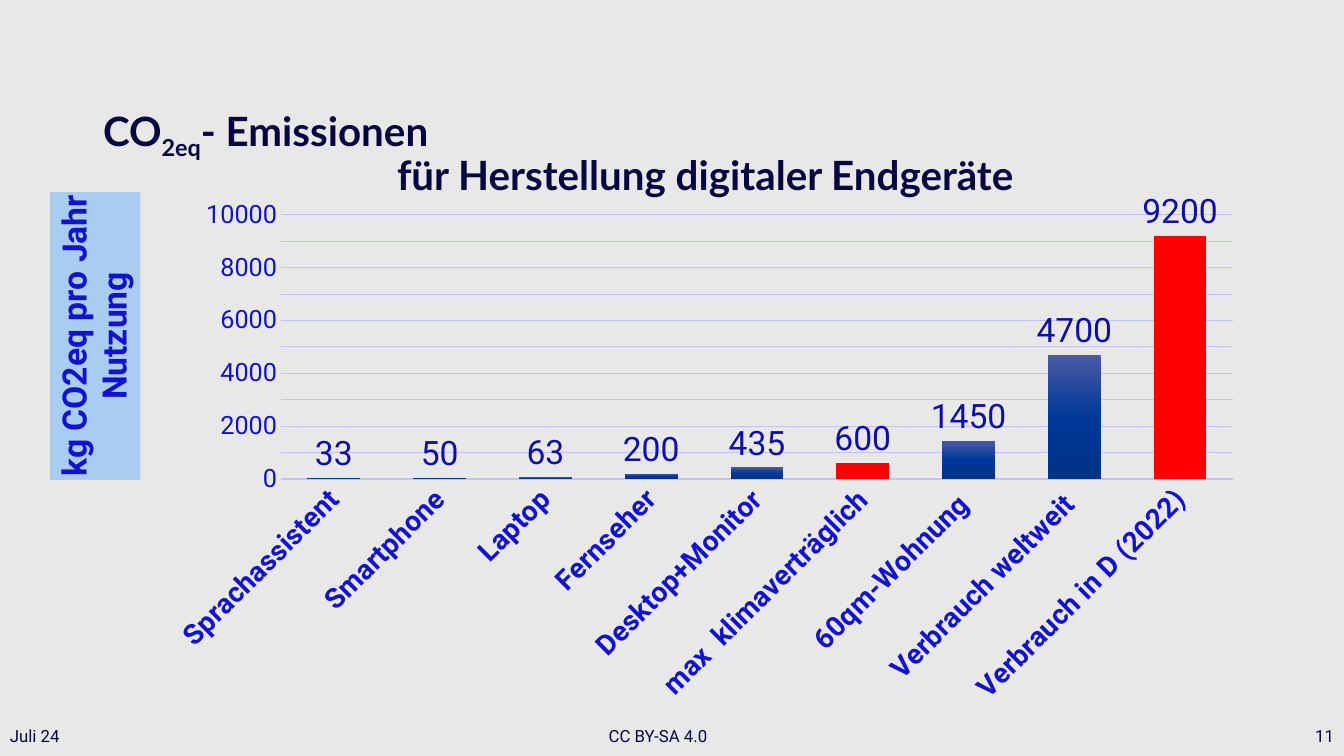
from copy import deepcopy
from dataclasses import dataclass

from lxml import etree
from pptx import Presentation
from pptx.chart.data import CategoryChartData
from pptx.dml.color import RGBColor
from pptx.enum.chart import XL_CHART_TYPE as CHART, XL_LABEL_POSITION as LABEL, XL_TICK_MARK as TICK
from pptx.enum.text import MSO_ANCHOR as ANCHOR, MSO_AUTO_SIZE as AUTOSIZE, PP_ALIGN as ALIGN
from pptx.oxml import parse_xml
from pptx.oxml.ns import nsdecls, qn
from pptx.util import Pt

EMU_PER_PX = 914400 / 100.8

EMISSIONS = {
    "Sprachassistent": 33,
    "Smartphone": 50,
    "Laptop": 63,
    "Fernseher": 200,
    "Desktop+Monitor": 435,
    "max  klimaverträglich": 600,
    "60qm-Wohnung ": 1450,
    "Verbrauch weltweit ": 4700,
    "Verbrauch in D (2022)": 9200,
}
HIGHLIGHTED = ("max  klimaverträglich", "Verbrauch in D (2022)")


@dataclass(frozen=True)
class Theme:
    heading: str = "Lato"
    body: str = "Roboto"
    paper: str = "E8E8E8"
    ink: str = "060640"
    axis: str = "1313CD"
    label: str = "0F0FA5"
    grid: str = "C3C3F9"
    panel: str = "A9CDF0"
    alert: str = "FF0000"
    bar: tuple = ((0, "4B5AA3"), (50, "003898"), (100, "003287"))
    title_pt: float = 28.8
    label_pt: int = 24
    category_pt: int = 20
    value_pt: int = 18
    footer_pt: int = 12


def px(n):
    return round(n * EMU_PER_PX)


def rgb(value):
    return RGBColor.from_string(value)


def style(font, color, **values):
    for name, value in values.items():
        setattr(font, name, value)
    font.color.rgb = rgb(color)


def paint(fill, color):
    fill.solid()
    fill.fore_color.rgb = rgb(color)


def place(parent, index, frame, box, inner=False):
    """Fix a chart part at box (slide px) inside the chart frame."""
    for old in parent.findall(qn("c:layout")):
        parent.remove(old)
    layout = etree.Element(qn("c:layout"))
    manual = etree.SubElement(layout, qn("c:manualLayout"))
    left, top, width, height = frame
    x, y, w, h = box
    values = {"xMode": "edge", "yMode": "edge",
              "x": round((x - left) / width, 4), "y": round((y - top) / height, 4)}
    if inner:
        values = {"layoutTarget": "inner", **values,
                  "w": round(w / width, 4), "h": round(h / height, 4)}
    for name, value in values.items():
        etree.SubElement(manual, qn(f"c:{name}")).set("val", str(value))
    parent.insert(index, layout)


def gradient(sp_pr, stops):
    """Give a series a vertical gradient with any number of stops."""
    gs = "".join(f'<a:gs pos="{pos * 1000}"><a:srgbClr val="{color}"/></a:gs>' for pos, color in stops)
    sp_pr.insert(0, parse_xml(f'<a:gradFill {nsdecls("a")} rotWithShape="1"><a:gsLst>{gs}</a:gsLst>'
                              '<a:lin ang="5400000" scaled="0"/></a:gradFill>'))


class Deck:
    def __init__(self, theme):
        self.theme = theme
        self.prs = Presentation()
        self.prs.slide_width, self.prs.slide_height = px(1344), px(756)
        self.s = self.prs.slides.add_slide(self.prs.slide_layouts[5])
        paint(self.s.background.fill, theme.paper)

    def title(self, box, lines, indent):
        """Set the title; each line is a list of (text, is_subscript)."""
        t, sp = self.theme, self.s.shapes.title
        sp.left, sp.top, sp.width, sp.height = map(px, box)
        tf = sp.text_frame
        tf.auto_size, tf.word_wrap, tf.vertical_anchor = AUTOSIZE.NONE, True, ANCHOR.MIDDLE
        for i, line in enumerate(lines):
            p = tf.add_paragraph() if i else tf.paragraphs[0]
            p.alignment, p.line_spacing = ALIGN.LEFT, 0.9
            p.space_before = Pt(0)
            p._p.get_or_add_pPr().set("marL", str(px(indent * i)))
            for text, subscript in line:
                r = p.add_run()
                r.text = text
                style(r.font, t.ink, name=t.heading, size=Pt(t.title_pt), bold=True)
                if subscript:
                    r._r.get_or_add_rPr().set("baseline", "-25000")

    def footer(self, box, text, align):
        t = self.theme
        tf = self.s.shapes.add_textbox(*map(px, box)).text_frame
        tf.word_wrap, tf.vertical_anchor = True, ANCHOR.MIDDLE
        p = tf.paragraphs[0]
        p.alignment = align
        r = p.add_run()
        r.text = text
        style(r.font, t.ink, name=t.body, size=Pt(t.footer_pt))

    def column_chart(self, box, plot_box, title_box, values, highlighted, axis_title):
        t = self.theme
        data = CategoryChartData(number_format="0")
        data.categories = list(values)
        data.add_series("Series 1", list(values.values()))
        chart = self.s.shapes.add_chart(CHART.COLUMN_CLUSTERED, *map(px, box), data).chart
        chart.has_legend = chart.has_title = False
        style(chart.font, t.ink, name=t.body, size=Pt(t.label_pt))
        self.bars(chart.plots[0], values, highlighted)
        self.axes(chart)

        title = chart.value_axis.axis_title
        tf = title.text_frame
        for i, line in enumerate(axis_title):
            p = tf.add_paragraph() if i else tf.paragraphs[0]
            r = p.add_run()
            r.text = line
            style(r.font, t.axis, name=t.body, size=Pt(t.label_pt), bold=True)
        tf._txBody.bodyPr.set("rot", "-5400000")
        tf._txBody.bodyPr.set("vert", "horz")
        paint(title.format.fill, t.panel)
        place(title._element, 1, box, title_box)
        plot_area = chart._chartSpace.chart.plotArea
        place(plot_area, 0, box, plot_box, inner=True)

    def bars(self, plot, values, highlighted):
        t = self.theme
        plot.gap_width, plot.overlap, plot.vary_by_categories = 100, -24, False
        series = plot.series[0]
        series.invert_if_negative = False
        gradient(series._element.get_or_add_spPr(), t.bar)
        for i, name in enumerate(values):
            if name in highlighted:
                paint(series.points[i].format.fill, t.alert)
        labels = series.data_labels
        for name, value in {"show_value": True, "position": LABEL.OUTSIDE_END,
                            "number_format": "0", "number_format_is_linked": False}.items():
            setattr(labels, name, value)
        style(labels.font, t.label, name=t.body, size=Pt(t.label_pt))

    def axes(self, chart):
        t, cat, val = self.theme, chart.category_axis, chart.value_axis
        for axis, size, bold in ((cat, t.category_pt, True), (val, t.value_pt, False)):
            axis.major_tick_mark = axis.minor_tick_mark = TICK.NONE
            style(axis.tick_labels.font, t.axis, name=t.body, size=Pt(size), bold=bold)
        body = cat._element.find(qn("c:txPr")).find(qn("a:bodyPr"))
        body.set("rot", "-2700000")
        body.set("vert", "horz")
        for name, value in {"minimum_scale": 0, "maximum_scale": 10000, "major_unit": 2000,
                            "minor_unit": 1000, "has_major_gridlines": True,
                            "has_minor_gridlines": True}.items():
            setattr(val, name, value)
        val.tick_labels.number_format = "0"
        val.tick_labels.number_format_is_linked = False
        val.format.line.fill.background()
        for part, width in ((cat, 1), (val.major_gridlines, 0.75)):
            part.format.line.color.rgb = rgb(t.grid)
            part.format.line.width = Pt(width)
        major, minor = (val._element.find(qn(f"c:{kind}Gridlines")) for kind in ("major", "minor"))
        minor.append(deepcopy(major.find(qn("c:spPr"))))


def main():
    deck = Deck(Theme())
    deck.title((93, 102, 1159, 102),
               [[("CO", False), ("2eq", True), ("- Emissionen", False)],
                [("für Herstellung digitaler Endgeräte", False)]], indent=294)
    deck.column_chart((34, 190, 1224, 526), (281, 215, 952, 264), (50, 192, 100, 293),
                      EMISSIONS, HIGHLIGHTED, ["kg CO2eq pro Jahr", "Nutzung"])
    for left, width, text, align in ((0, 302, "Juli 24", ALIGN.LEFT),
                                     (431, 454, "CC BY-SA 4.0", ALIGN.CENTER),
                                     (1042, 302, "11", ALIGN.RIGHT)):
        deck.footer((left, 716, width, 40), text, align)
    deck.prs.save("out.pptx")


if __name__ == "__main__":
    main()
